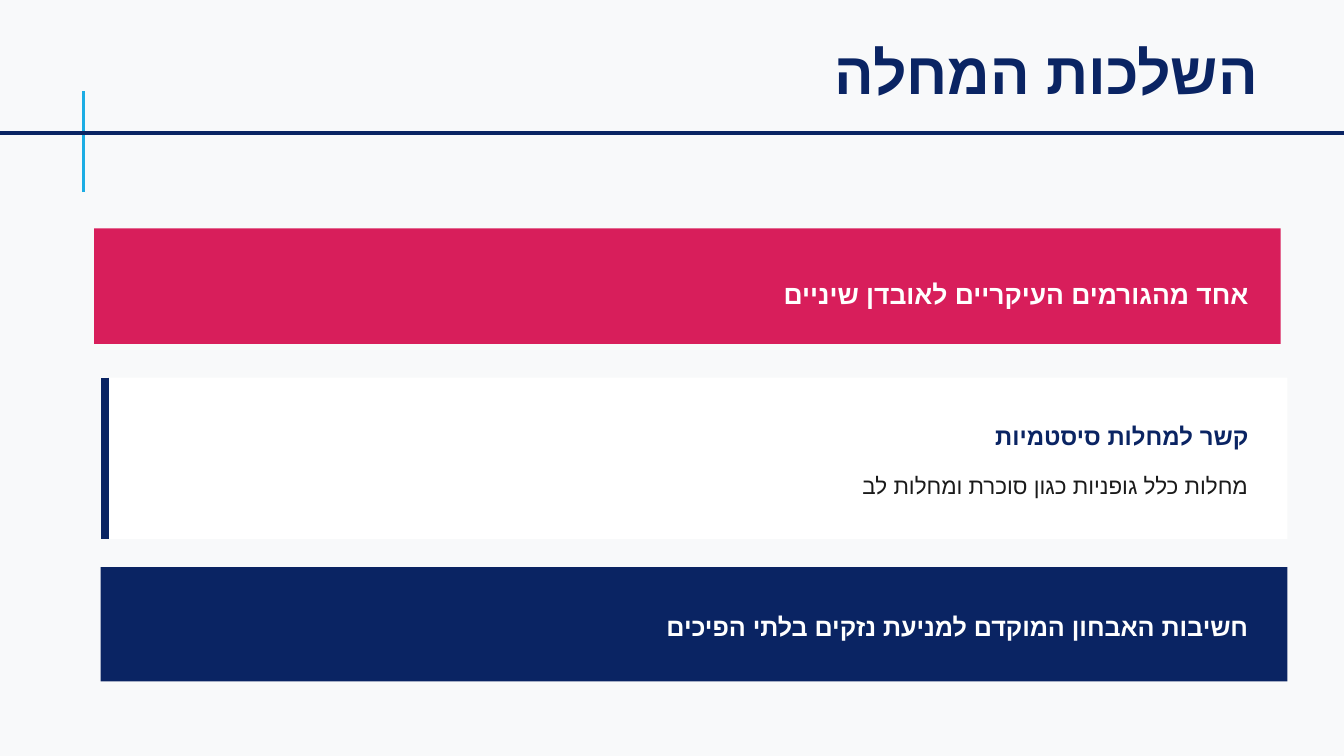
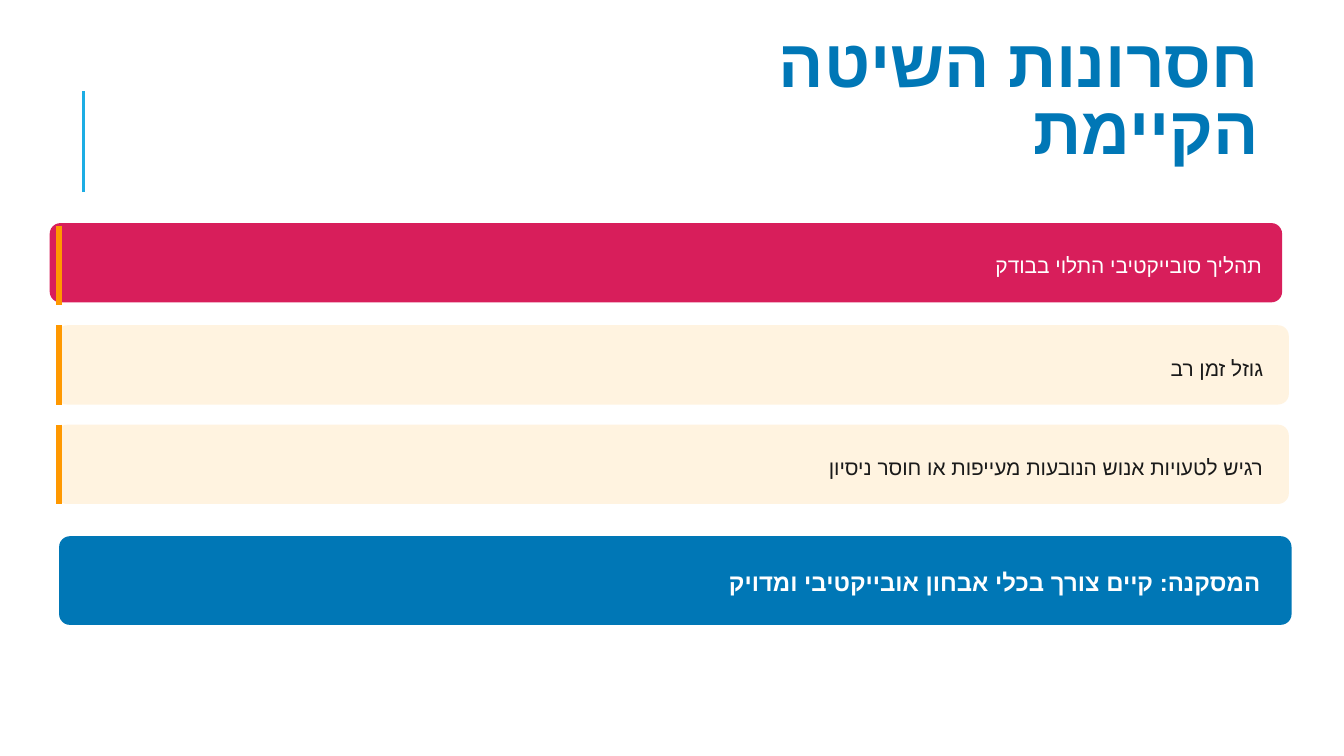
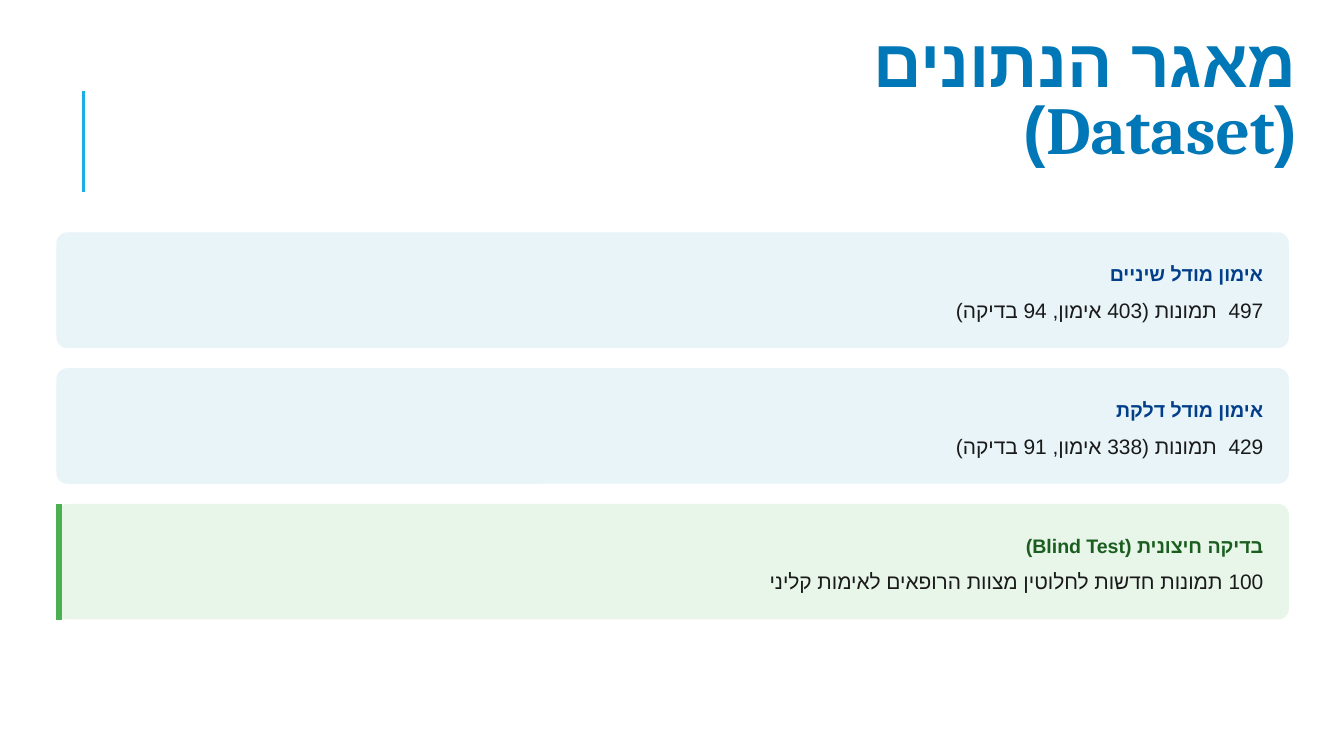
from pptx import Presentation
from pptx.dml.color import RGBColor
from pptx.enum.shapes import MSO_CONNECTOR as Connector, MSO_SHAPE as Shape
from pptx.enum.text import MSO_ANCHOR as Anchor, MSO_AUTO_SIZE as AutoSize, PP_ALIGN as Align
from pptx.oxml import parse_xml
from pptx.oxml.ns import nsdecls, qn
from pptx.util import Inches, Pt

NAVY, BLUE, CYAN = "0A2463", "0077B6", "1CADE4"
CRIMSON, ORANGE, CREAM = "D81E5B", "FF9800", "FFF3E0"
ICE, MINT, GREEN = "E8F4F8", "E8F5E9", "4CAF50"
DEEP_BLUE, DEEP_GREEN = "023E8A", "1B5E20"
WHITE, PAPER, INK = "FFFFFF", "F8F9FA", "1A1A1A"
HEBREW_FONT = "Arial"
CORNER = 0.08

ITEM = dict(size=11.2, spacing=15.8, height=0.22)
LABEL = dict(size=10.5, spacing=14.7, height=0.2, bold=True, after=4.5)
STRONG = dict(size=12.8, spacing=17.9, height=0.25, bold=True)


def color(value):
    return RGBColor.from_string(value)


def write(frame, text, size, spacing, ink=INK, font="Arial", bold=False,
          rtl=False, after=0, insets=(0, 0, 0, 0)):
    frame.word_wrap = True
    frame.auto_size = AutoSize.NONE
    frame.vertical_anchor = Anchor.TOP
    (frame.margin_left, frame.margin_top,
     frame.margin_right, frame.margin_bottom) = map(Inches, insets)
    para = frame.paragraphs[0]
    para.alignment = Align.RIGHT
    para.line_spacing = Pt(spacing)
    para.space_before, para.space_after = Pt(0), Pt(after)
    if rtl:
        para._p.get_or_add_pPr().set("rtl", "1")
    span = para.add_run()
    span.text = text
    span.font.name, span.font.size, span.font.bold = font, Pt(size), bold
    span.font.color.rgb = color(ink)
    script_font = parse_xml(f'<a:cs {nsdecls("a")} typeface="{HEBREW_FONT}"/>')
    span._r.rPr.find(qn("a:latin")).addnext(script_font)


def add_rule(page, start, end, ink, width):
    rule = page.shapes.add_connector(Connector.STRAIGHT, *map(Inches, start + end))
    rule.line.color.rgb = color(ink)
    rule.line.width = Pt(width)
    rule._element.spPr.append(parse_xml(f'<a:effectLst {nsdecls("a")}/>'))


def add_page(deck, title, box, background=WHITE, **format):
    page = deck.slides.add_slide(deck.slide_layouts[5])
    page.background.fill.solid()
    page.background.fill.fore_color.rgb = color(background)
    add_rule(page, (0.62, 1.43), (0.62, 0.68), CYAN, 1.5)
    heading = page.shapes.title
    heading.left, heading.top, heading.width, heading.height = map(Inches, box)
    write(heading.text_frame, title, font="Cambria", bold=True, **format)
    return page


def add_card(page, box, fill, lines, pads, rounded=True, bar=None):
    left, top, width, height = box
    kind = Shape.ROUNDED_RECTANGLE if rounded else Shape.RECTANGLE
    card = page.shapes.add_shape(kind, *map(Inches, box))
    card.shadow.inherit = False
    card.fill.solid()
    card.fill.fore_color.rgb = color(fill)
    card.line.fill.background()
    if rounded:
        card.adjustments[0] = CORNER / height
    if bar:
        ink, thickness, across, down = bar
        add_rule(page, (left + across, top + down),
                 (left + across, top + down + height), ink, thickness)
    for text, offset, format in lines:
        format = dict(format)
        line_box = (left + pads[0], top + offset, width - sum(pads), format.pop("height"))
        area = page.shapes.add_textbox(*map(Inches, line_box))
        write(area.text_frame, text, **format)


def build_consequences(deck):
    page = add_page(deck, "השלכות המחלה", (4.73, 0, 4.94, 0.98), PAPER, size=31.5,
                    spacing=31.5, ink=NAVY, insets=(0.31, 0.35, 0.31, 0.19))
    add_rule(page, (0, 0.99), (10, 0.99), NAVY, 2.25)
    add_card(page, (0.7, 1.7, 8.83, 0.86), CRIMSON, [
        ("אחד מהגורמים העיקריים לאובדן שיניים", 0.33,
         dict(size=14.2, spacing=19.9, height=0.28, bold=True, ink=WHITE)),
    ], (0.18, 0.24), rounded=False)
    add_card(page, (0.75, 2.81, 8.83, 1.2), WHITE, [
        ("קשר למחלות סיסטמיות", 0.29, dict(STRONG, ink=NAVY, after=7.5)),
        ("מחלות כלל גופניות כגון סוכרת ומחלות לב", 0.64,
         dict(size=12, spacing=19.2, height=0.27)),
    ], (0.19, 0.29), rounded=False, bar=(NAVY, 4.5, 0.03, 0))
    add_card(page, (0.75, 4.22, 8.83, 0.85), NAVY, [
        ("חשיבות האבחון המוקדם למניעת נזקים בלתי הפיכים", 0.29,
         dict(size=13.5, spacing=18.9, height=0.26, bold=True, ink=WHITE)),
    ], (0.13, 0.29), rounded=False)


def build_drawbacks(deck):
    page = add_page(deck, "חסרונות השיטה הקיימת", (4.48, 0, 5.1, 0.85), size=36,
                    spacing=36, ink=BLUE, insets=(0.21, 0.25, 0.21, 0.1))
    add_card(page, (0.37, 1.66, 9.17, 0.59), CRIMSON,
             [("תהליך סובייקטיבי התלוי בבודק", 0.19, dict(ITEM, ink=WHITE))],
             (0.09, 0.15), bar=(ORANGE, 3, 0.07, 0.02))
    drawbacks = ["גוזל זמן רב", "רגיש לטעויות אנוש הנובעות מעייפות או חוסר ניסיון"]
    for row, drawback in enumerate(drawbacks):
        add_card(page, (0.42, 2.42 + row * 0.74, 9.17, 0.59), CREAM,
                 [(drawback, 0.19, ITEM)], (0.05, 0.19), bar=(ORANGE, 3, 0.02, 0))
    add_card(page, (0.44, 3.99, 9.17, 0.66), BLUE,
             [("המסקנה: קיים צורך בכלי אבחון אובייקטיבי ומדויק", 0.2,
               dict(STRONG, ink=WHITE, rtl=True))], (0.01, 0.23))


def build_dataset(deck):
    page = add_page(deck, "מאגר הנתונים (Dataset)", (4.26, 0, 5.6, 0.85), size=36,
                    spacing=36, ink=BLUE, rtl=True, insets=(0.21, 0.25, 0.21, 0.1))
    groups = [
        ("אימון מודל שיניים", "497  תמונות (403 אימון, 94 בדיקה)",
         ICE, DEEP_BLUE, False, None),
        ("אימון מודל דלקת", "429  תמונות (338 אימון, 91 בדיקה)",
         ICE, DEEP_BLUE, False, None),
        ("בדיקה חיצונית (Blind Test)", "100 תמונות חדשות לחלוטין מצוות הרופאים לאימות קליני",
         MINT, DEEP_GREEN, True, (GREEN, 3, 0.02, 0)),
    ]
    for row, (label, detail, fill, ink, rtl, bar) in enumerate(groups):
        add_card(page, (0.42, 1.73 + row * 1.01, 9.17, 0.86), fill, [
            (label, 0.19, dict(LABEL, ink=ink, rtl=rtl)),
            (detail, 0.45, dict(ITEM, rtl=True)),
        ], (0.05 if bar else 0.01, 0.19), bar=bar)


def main():
    deck = Presentation()
    deck.slide_width = Inches(10)
    deck.slide_height = deck.slide_width * 9 // 16
    build_consequences(deck)
    build_drawbacks(deck)
    build_dataset(deck)
    deck.save("out.pptx")


if __name__ == "__main__":
    main()
